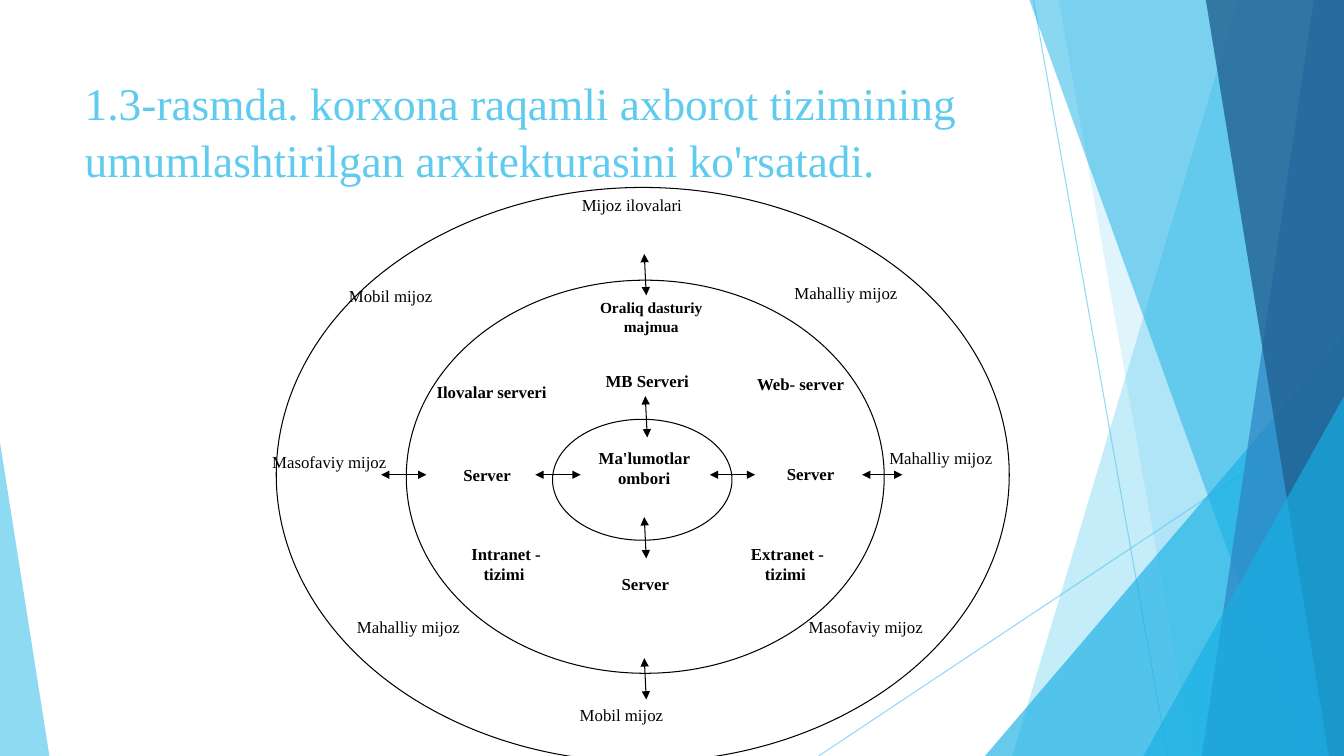
import pptx
import pptx.util
import pptx.dml.color
import pptx.enum.shapes
import pptx.enum.text
import pptx.oxml.ns
import lxml.etree

PX = 9144
FONT = "Times New Roman"
COLORS = {
    "sky": "5FCBEF",
    "cyan": "17B0E4",
    "blue": "2E83C3",
    "navy": "226292",
    "ink": "000000",
}
qn = pptx.oxml.ns.qn
MSO_SHAPE = pptx.enum.shapes.MSO_SHAPE
ALIGN = pptx.enum.text.PP_ALIGN

FACETS = [
    ("sky", 36, [(1228, 0), (1333, 0), (1333, 750), (1004, 750)]),
    ("sky", 20, [(1050, 0), (1333, 0), (1333, 750), (1183, 750)]),
    ("cyan", 66, [(1333, 333), (1333, 750), (977, 750)]),
    ("cyan", 50, [(1021, 0), (1333, 0), (1333, 750), (1291, 750)]),
    ("blue", 70, [(1303, 0), (1333, 0), (1333, 750), (1192, 750)]),
    ("navy", 80, [(1196, 0), (1333, 0), (1333, 750), (1318, 750)]),
    ("cyan", 66, [(1333, 393), (1333, 750), (1134, 750)]),
    ("sky", 70, [(0, 439), (49, 750), (0, 750)]),
]
CLIENTS = [
    ("Masofaviy mijoz", 270, 448),
    ("Mobil mijoz", 346, 283),
    ("Mijoz ilovalari", 577, 193),
    ("Mahalliy mijoz", 788, 281),
    ("Mahalliy mijoz", 882, 444),
    ("Masofaviy mijoz", 802, 612),
    ("Mahalliy mijoz", 354, 612),
    ("Mobil mijoz", 575, 699),
]
SERVERS = [
    ("Server ", 419, 461),
    ("Server ", 576, 569),
    ("Server ", 740, 460),
    ("Web- server ", 730, 371),
    ("Intranet -\ntizimi ", 436, 539),
    ("Extranet -\ntizimi ", 715, 539),
    ("MB Serveri", 576, 368),
    ("Ma'lumotlar ombori", 573, 444),
]
RINGS = [(274, 186, 727, 570), (403, 278, 474, 390), (548, 416, 178, 120)]
SIDE_ARROWS = [(378, 423), (531, 576), (704, 749), (855, 895)]
UPRIGHT_ARROWS = [(639, 252), (640, 393), (639, 513), (639, 653)]


def px(n):
    return pptx.util.Emu(n * PX)


def rgb(name):
    return pptx.dml.color.RGBColor.from_string(COLORS[name])


def set_alpha(shape, percent):
    for color in shape.element.spPr.iter(qn("a:srgbClr")):
        lxml.etree.SubElement(color, qn("a:alpha"), val=str(percent * 1000))


def style_text(tf, size, color, bold=False, align=ALIGN.LEFT):
    for p in tf.paragraphs:
        p.alignment = align
        for r in p.runs:
            r.font.name = FONT
            r.font.size = pptx.util.Pt(size)
            r.font.bold = bold
            r.font.color.rgb = rgb(color)


def add_line(s, x1, y1, x2, y2, color="ink"):
    line = s.shapes.add_connector(
        pptx.enum.shapes.MSO_CONNECTOR.STRAIGHT, px(x1), px(y1), px(x2), px(y2))
    line.line.color.rgb = rgb(color)
    line.line.width = pptx.util.Pt(0.75)
    lxml.etree.SubElement(line.element.spPr, qn("a:effectLst"))
    return line


def add_double_arrow(s, x1, y1, x2, y2):
    ln = add_line(s, x1, y1, x2, y2).element.spPr.find(qn("a:ln"))
    for end in ("a:headEnd", "a:tailEnd"):
        lxml.etree.SubElement(ln, qn(end), type="triangle")


def add_facet(s, color, alpha, points):
    builder = s.shapes.build_freeform(*points[0], scale=PX)
    builder.add_line_segments(points[1:], close=True)
    sp = builder.convert_to_shape()
    sp.shadow.inherit = False
    sp.fill.solid()
    sp.fill.fore_color.rgb = rgb(color)
    sp.line.fill.background()
    set_alpha(sp, alpha)


def add_ring(s, x, y, w, h):
    sp = s.shapes.add_shape(MSO_SHAPE.OVAL, px(x), px(y), px(w), px(h))
    sp.shadow.inherit = False
    sp.fill.background()
    sp.line.color.rgb = rgb("ink")
    sp.line.width = pptx.util.Pt(0.75)


def add_label(s, text, x, y, size=12, bold=False, align=ALIGN.LEFT):
    tf = s.shapes.add_textbox(px(x), px(y), px(132), px(50)).text_frame
    tf.word_wrap = True
    tf.margin_left = tf.margin_right = tf.margin_top = tf.margin_bottom = 0
    tf.text = text
    style_text(tf, size, "ink", bold, align)


def set_title(s, text):
    title = s.shapes.title
    title.left, title.top, title.width, title.height = px(74), px(67), px(940), px(144)
    tf = title.text_frame
    tf.word_wrap = True
    tf.auto_size = pptx.enum.text.MSO_AUTO_SIZE.NONE
    tf.vertical_anchor = pptx.enum.text.MSO_ANCHOR.TOP
    tf.text = text
    tf.paragraphs[0].line_spacing = 1.05
    style_text(tf, 32.4, "sky")


def main():
    prs = pptx.Presentation()
    prs.slide_width, prs.slide_height = px(1333), px(750)
    s = prs.slides.add_slide(prs.slide_layouts[5])

    for ends in ((1025, 0, 1158, 750), (1333, 403, 812, 750)):
        set_alpha(add_line(s, *ends, color="sky"), 70)
    for facet in FACETS:
        add_facet(s, *facet)
    set_title(s, "1.3-rasmda. korxona raqamli axborot tizimining "
                 "umumlashtirilgan arxitekturasini ko'rsatadi.")

    for ring in RINGS:
        add_ring(s, *ring)
    for client in CLIENTS:
        add_label(s, *client)
    for server in SERVERS:
        add_label(s, *server, bold=True, align=ALIGN.CENTER)
    add_label(s, "Ilovalar serveri", 433, 379, bold=True)
    add_label(s, "Oraliq dasturiy majmua", 580, 296, 11, True, ALIGN.CENTER)
    for x1, x2 in SIDE_ARROWS:
        add_double_arrow(s, x1, 471, x2, 471)
    for x, y in UPRIGHT_ARROWS:
        add_double_arrow(s, x, y, x + 2, y + 41)

    prs.save("out.pptx")


if __name__ == "__main__":
    main()
